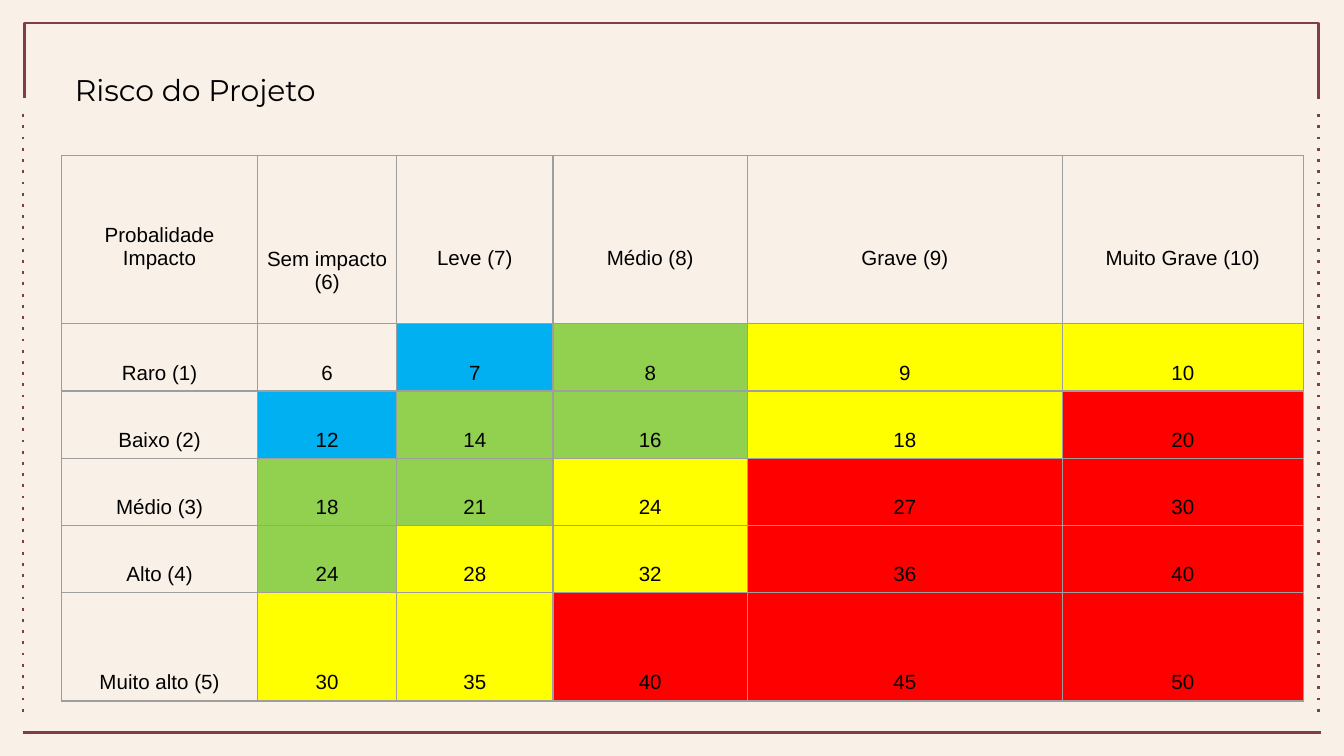
from dataclasses import dataclass

from lxml import etree
from pptx import Presentation
from pptx.dml.color import RGBColor
from pptx.enum import dml, shapes, text
from pptx.oxml import ns
from pptx.util import Pt


@dataclass(frozen=True)
class Theme:
    background: str = "F9F0E8"
    frame: str = "823E43"
    grid: str = "9E9E9E"
    ink: str = "000000"
    title_font: str = "Montserrat"
    table_font: str = "Arial"
    title_size: float = 16
    table_size: float = 11
    frame_width: float = 1.5
    grid_width: float = 0.75


@dataclass(frozen=True)
class Rule:
    start: tuple[float, float]
    end: tuple[float, float]
    dotted: bool = False


@dataclass(frozen=True)
class Header:
    label: str
    impact: int
    bottom: float  # space below the label


THEME = Theme()
LEVELS = {"B": "00B0F0", "G": "92D050", "Y": "FFFF00", "R": "FF0000"}

RULES = [
    Rule((706.3, 61.2), (706.3, 383.8), dotted=True),
    Rule((12.3, 392.4), (707.7, 392.4)),
    Rule((12.3, 61.2), (12.3, 383.8), dotted=True),
]
BRACKET = [(13, 52.5), (13, 12.3), (706.3, 12.3), (706.3, 53.2)]

CELL_BOTTOM = 3.6
HEADERS = [
    Header("Sem impacto", 6, 16.2),
    Header("Leve", 7, 28.8),
    Header("Médio", 8, 28.8),
    Header("Grave", 9, 28.8),
    Header("Muito Grave", 10, 28.8),
]
# Each probability with the risk level of its five scores
PROBABILITIES = [
    ("Raro", "-BGYY"),
    ("Baixo", "BGGYR"),
    ("Médio", "GGYRR"),
    ("Alto", "GYYRR"),
    ("Muito alto", "YYRRR"),
]
COLUMN_WIDTHS = [105, 74.5, 83.8, 104.2, 168.7, 129.1]
ROW_HEIGHTS = [90, 36, 36, 36, 36, 58]


def style_line(line) -> None:
    line.color.rgb = RGBColor.from_string(THEME.frame)
    line.width = Pt(THEME.frame_width)


def draw_rule(page, rule: Rule) -> None:
    points = [Pt(value) for value in (*rule.start, *rule.end)]
    connector = page.shapes.add_connector(shapes.MSO_CONNECTOR.STRAIGHT, *points)
    style_line(connector.line)
    if rule.dotted:
        connector.line.dash_style = dml.MSO_LINE.ROUND_DOT
        connector.line._ln.find(ns.qn("a:prstDash")).set("val", "dot")
    etree.SubElement(connector._element.spPr, ns.qn("a:effectLst"))


def draw_bracket(page, corners: list[tuple[float, float]]) -> None:
    points = [(Pt(x), Pt(y)) for x, y in corners]
    builder = page.shapes.build_freeform(*points[0])
    builder.add_line_segments(points[1:], close=False)
    bracket = builder.convert_to_shape()
    bracket.shadow.inherit = False
    bracket.fill.background()
    style_line(bracket.line)


def format_span(span, font: str, size: float) -> None:
    span.font.name = font
    span.font.size = Pt(size)
    span.font.bold = False
    span.font.color.rgb = RGBColor.from_string(THEME.ink)


def add_borders(cell) -> None:
    properties = cell._tc.get_or_add_tcPr()
    for index, side in enumerate(("lnL", "lnR", "lnT", "lnB")):
        border = etree.Element(ns.qn(f"a:{side}"), w=str(Pt(THEME.grid_width)))
        fill = etree.SubElement(border, ns.qn("a:solidFill"))
        etree.SubElement(fill, ns.qn("a:srgbClr"), val=THEME.grid)
        properties.insert(index, border)


def fill_cell(cell, content: str, level: str = "-", bottom: float = CELL_BOTTOM) -> None:
    cell.text_frame.text = content
    cell.vertical_anchor = text.MSO_ANCHOR.BOTTOM
    cell.margin_left = cell.margin_right = cell.margin_top = Pt(0.7)
    cell.margin_bottom = Pt(bottom)
    for para in cell.text_frame.paragraphs:
        para.alignment = text.PP_ALIGN.CENTER
        for span in para.runs:
            format_span(span, THEME.table_font, THEME.table_size)
    if level in LEVELS:
        cell.fill.solid()
        cell.fill.fore_color.rgb = RGBColor.from_string(LEVELS[level])
    else:
        cell.fill.background()
    add_borders(cell)


def draw_matrix(page, left: float, top: float) -> None:
    table = page.shapes.add_table(
        len(ROW_HEIGHTS), len(COLUMN_WIDTHS), Pt(left), Pt(top),
        Pt(sum(COLUMN_WIDTHS)), Pt(sum(ROW_HEIGHTS)),
    ).table
    table.first_row = table.horz_banding = False
    for column, width in zip(table.columns, COLUMN_WIDTHS):
        column.width = Pt(width)
    for row, height in zip(table.rows, ROW_HEIGHTS):
        row.height = Pt(height)

    # Impact headings
    fill_cell(table.cell(0, 0), "Probalidade\nImpacto", bottom=28.8)
    for column, header in enumerate(HEADERS, 1):
        label = f"{header.label} ({header.impact})"
        fill_cell(table.cell(0, column), label, bottom=header.bottom)

    # Score = probability x impact
    for weight, (name, levels) in enumerate(PROBABILITIES, 1):
        fill_cell(table.cell(weight, 0), f"{name} ({weight})")
        for column, (header, level) in enumerate(zip(HEADERS, levels), 1):
            fill_cell(table.cell(weight, column), str(weight * header.impact), level)


def draw_title(page, title: str) -> None:
    box = page.shapes.add_textbox(Pt(33), Pt(34.6), Pt(216), Pt(26.6))
    box.text_frame.word_wrap = True
    box.text_frame.auto_size = text.MSO_AUTO_SIZE.SHAPE_TO_FIT_TEXT
    box.text_frame.text = title
    format_span(box.text_frame.paragraphs[0].runs[0], THEME.title_font, THEME.title_size)


def main() -> None:
    deck = Presentation()
    deck.slide_width, deck.slide_height = Pt(720), Pt(405)
    page = deck.slides.add_slide(deck.slide_layouts[6])
    page.background.fill.solid()
    page.background.fill.fore_color.rgb = RGBColor.from_string(THEME.background)

    # Frame
    draw_bracket(page, BRACKET)
    for rule in RULES:
        draw_rule(page, rule)

    # Content
    draw_matrix(page, left=33, top=83.5)
    draw_title(page, "Risco do Projeto")
    deck.save("out.pptx")


if __name__ == "__main__":
    main()
